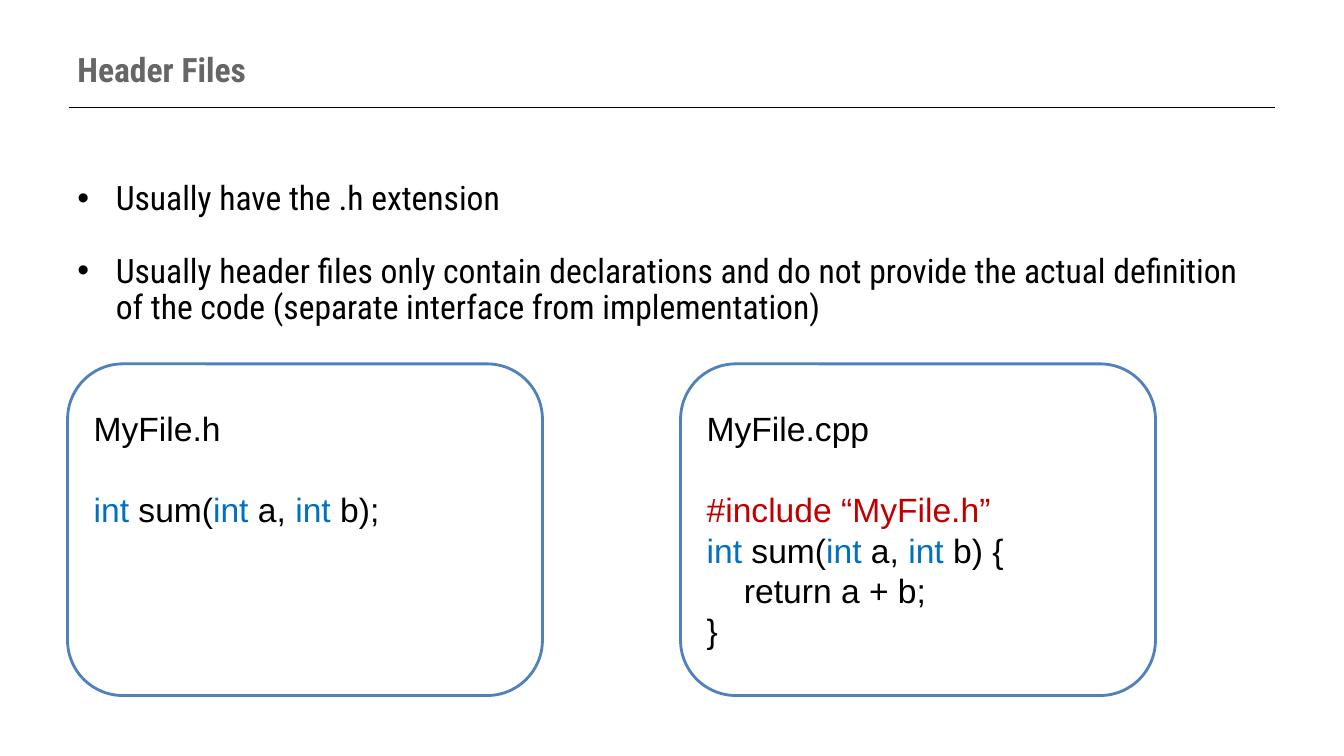
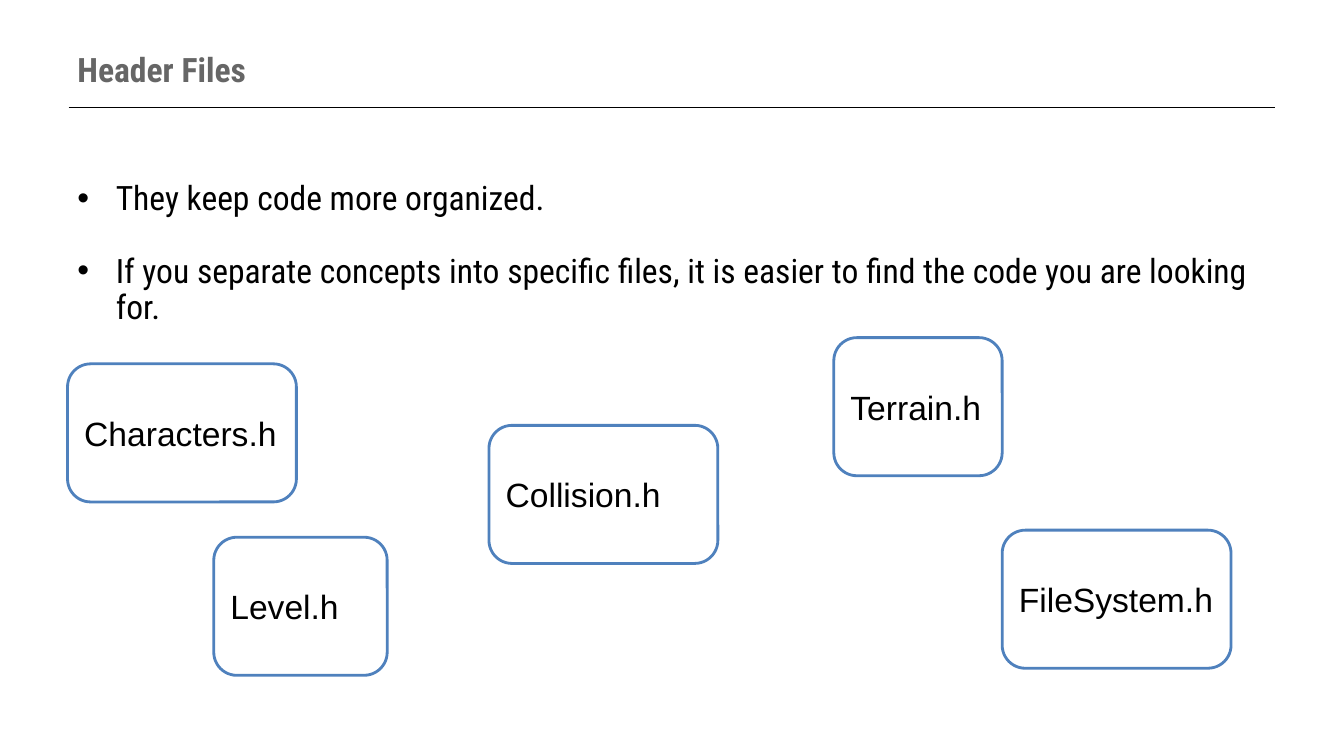
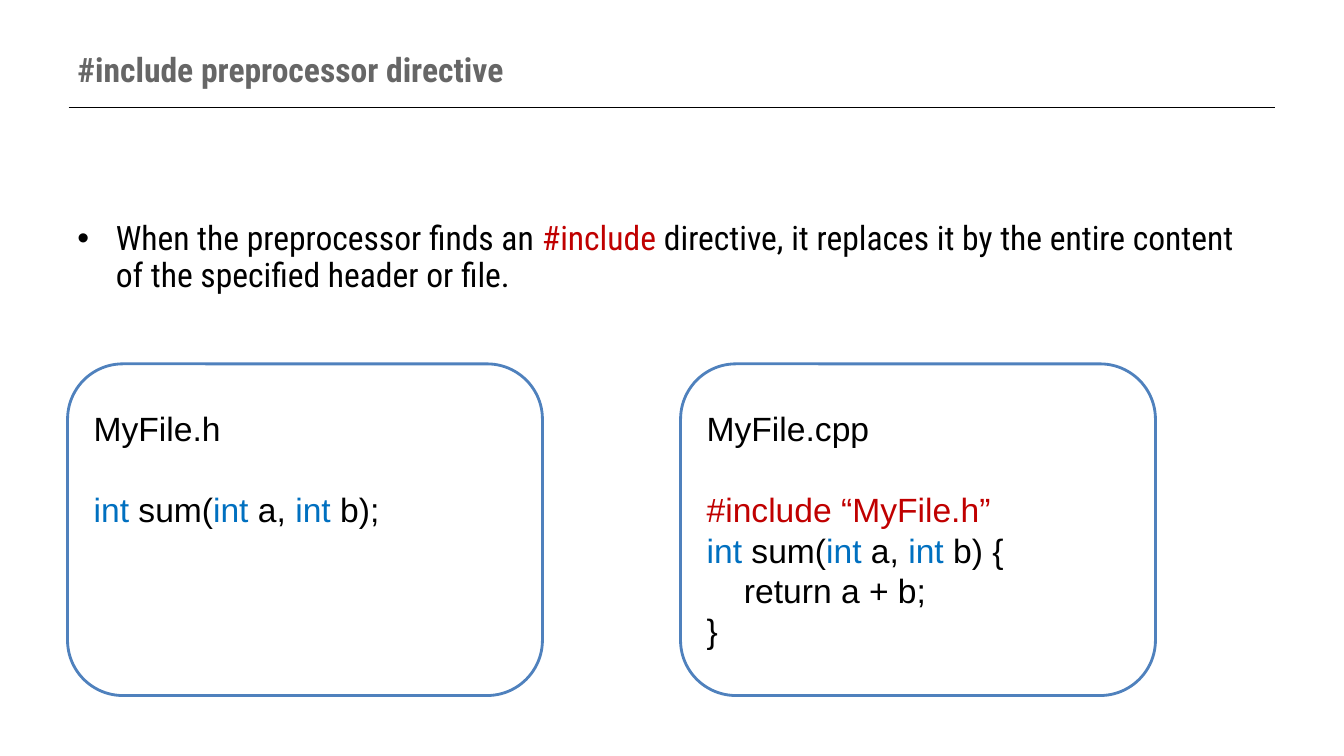
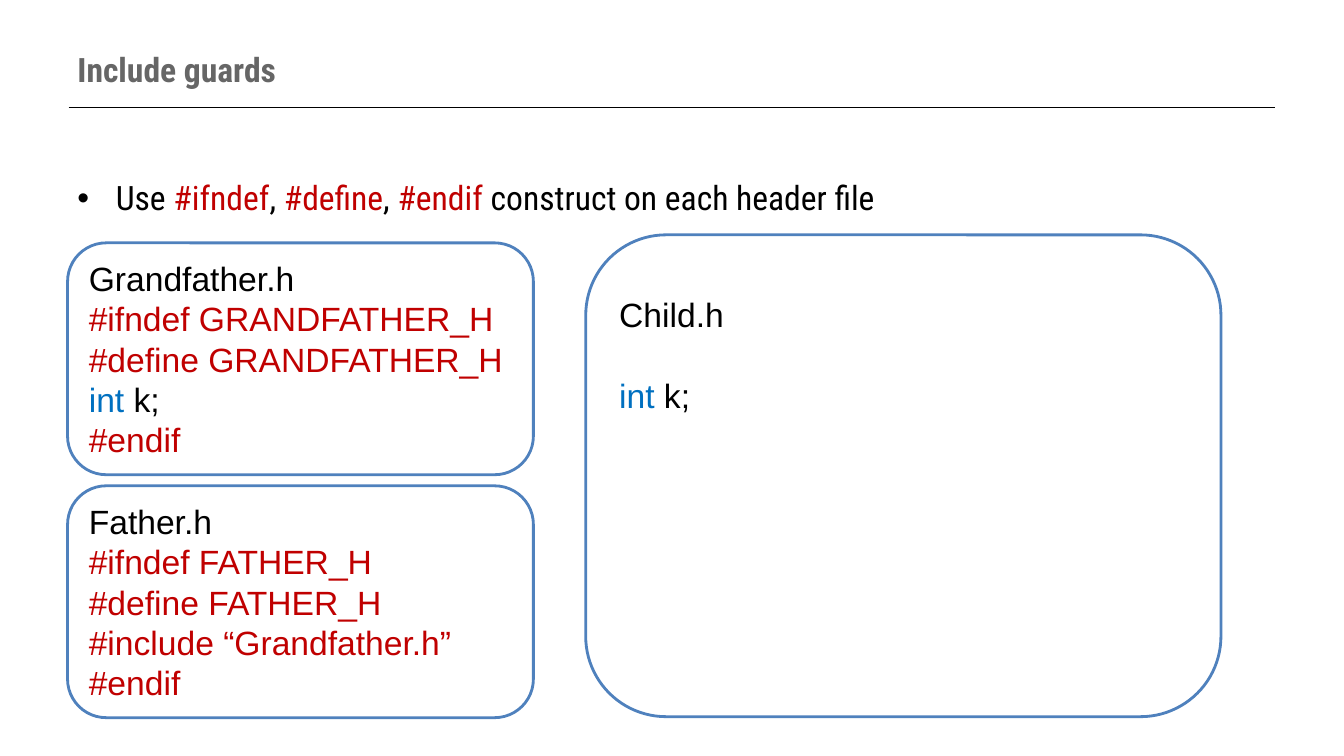
from dataclasses import dataclass

from lxml import etree
from pptx import Presentation
from pptx.dml.color import RGBColor
from pptx.enum.shapes import MSO_CONNECTOR, MSO_SHAPE
from pptx.enum.text import MSO_ANCHOR
from pptx.oxml.ns import qn
from pptx.util import Inches, Pt

STRAIGHT = MSO_CONNECTOR.STRAIGHT
ROUND = MSO_SHAPE.ROUNDED_RECTANGLE
TOP, MIDDLE = MSO_ANCHOR.TOP, MSO_ANCHOR.MIDDLE


@dataclass(frozen=True)
class Theme:
    white: str = "FFFFFF"
    black: str = "000000"
    gray: str = "666666"
    red: str = "C00000"
    blue: str = "0070C0"
    edge: str = "4F81BD"
    head: str = "Roboto Condensed"
    code: str = "Arial"
    size: int = 24
    rule: float = 0.75
    frame: float = 2
    item_gap: int = 26
    code_gap: int = 29


theme = Theme()
RED, BLUE = theme.red, theme.blue


def write(shape, lines, font=theme.code, color=theme.black, bold=False,
          anchor=TOP, inset=0.05, gap=0, gaps=(), bullet=False):
    """Fill a shape with lines, each a string or a list of strings and (string, colour) pairs.

    The gap in points goes above the lines whose numbers are in gaps.
    """
    frame = shape.text_frame
    frame.word_wrap = True
    frame.vertical_anchor = anchor
    frame.margin_left = frame.margin_right = Inches(0.1)
    frame.margin_top, frame.margin_bottom = Inches(inset), Inches(0.05)
    for row, line in enumerate(lines):
        para = frame.paragraphs[0] if row == 0 else frame.add_paragraph()
        para.alignment = None
        if row in gaps:
            para.space_before = Pt(gap)
        props = para._p.get_or_add_pPr()
        props.set("algn", "l")
        if bullet:
            para.line_spacing = 0.9
            props.set("marL", str(Inches(0.38)))
            props.set("indent", str(-Inches(0.38)))
            tint = etree.SubElement(props, qn("a:buClr"))
            etree.SubElement(tint, qn("a:srgbClr"), val=theme.black)
            etree.SubElement(props, qn("a:buFont"), typeface="Arial")
            etree.SubElement(props, qn("a:buChar"), char="•")
        elif line == RETURN:
            props.set("marL", str(Inches(0.37)))
        for part in [line] if isinstance(line, str) else line:
            text, tone = (part, color) if isinstance(part, str) else part
            run = para.add_run()
            run.text = text
            run.font.name, run.font.size, run.font.bold = font, Pt(theme.size), bold
            run.font.color.rgb = RGBColor.from_string(tone)


RETURN = "return a + b;"
INT = ("int ", BLUE)
SUM = [INT, "sum(", ("int", BLUE), " a, ", INT]
VALUE = [INT, "k;"]

# Code boxes: left, top, width, height, lines, text format
spaced = {"gap": theme.code_gap, "gaps": (1,)}
pair_form = {"inset": 0.28, **spaced}
pair = [
    (0.67, 3.61, 4.71, 3.29, ["MyFile.h", SUM + ["b);"]], pair_form),
    (6.75, 3.61, 4.71, 3.29,
     ["MyFile.cpp", [("#include “MyFile.h”", RED)], SUM + ["b) {"], RETURN, "}"],
     pair_form),
]
center = {"anchor": MIDDLE}
files = [
    (left, top, width, 1.37, [name], center)
    for left, top, width, name in [
        (0.67, 3.61, 2.27, "Characters.h"),
        (2.12, 5.33, 1.72, "Level.h"),
        (4.85, 4.22, 2.27, "Collision.h"),
        (8.27, 3.35, 1.67, "Terrain.h"),
        (9.94, 5.26, 2.27, "FileSystem.h"),
    ]
]
guards = [
    (0.67, top, 4.62, 2.3,
     [name + ".h", [("#ifndef " + name.upper() + "_H", RED)],
      [("#define " + name.upper() + "_H", RED)], body, [("#endif", RED)]], center)
    for top, name, body in [
        (2.41, "Grandfather", VALUE),
        (4.82, "Father", [("#include “Grandfather.h”", RED)]),
    ]
]
child = (5.81, 2.33, 6.3, 4.78, ["Child.h", VALUE], {"inset": 0.35, **spaced})

# Slides: title, top of the list, list items, code boxes
pages = [
    ("Header Files", 1.75,
     ["Usually have the .h extension",
      "Usually header files only contain declarations and do not provide the actual "
      "definition of the code (separate interface from implementation)"], pair),
    ("Header Files", 1.75,
     ["They keep code more organized.",
      "If you separate concepts into specific files, it is easier to find the code "
      "you are looking for."], files),
    ("#include preprocessor directive", 2.15,
     [["When the preprocessor finds an ", ("#include ", RED),
       "directive, it replaces it by the entire content of the specified header or file."]],
     pair),
    ("Include guards", 1.75,
     [["Use ", ("#ifndef", RED), ", ", ("#define", RED), ", ", ("#endif ", RED),
       "construct on each header file"]], guards + [child]),
]

deck = Presentation()
deck.slide_width, deck.slide_height = Inches(13.33), Inches(7.5)
blank = deck.slide_layouts[6]

for title, start, items, boxes in pages:
    slide = deck.slides.add_slide(blank)
    shapes = slide.shapes

    rule = shapes.add_connector(
        STRAIGHT, Inches(0.68), Inches(1.07), Inches(12.65), Inches(1.07))
    rule.line.color.rgb = RGBColor.from_string(theme.black)
    rule.line.width = Pt(theme.rule)
    etree.SubElement(rule._element.spPr, qn("a:effectLst"))

    body = shapes.add_textbox(Inches(0.67), Inches(start), Inches(12), Inches(6.7 - start))
    write(body, items, font=theme.head, bullet=True, gap=theme.item_gap, gaps=(1,))

    head = shapes.add_textbox(Inches(0.67), Inches(0.3), Inches(12), Inches(0.77))
    write(head, [title], font=theme.head, color=theme.gray, bold=True, anchor=MIDDLE)

    for left, top, width, height, lines, form in boxes:
        box = shapes.add_shape(ROUND, Inches(left), Inches(top), Inches(width), Inches(height))
        box.shadow.inherit = False
        box.fill.solid()
        box.fill.fore_color.rgb = RGBColor.from_string(theme.white)
        box.line.color.rgb = RGBColor.from_string(theme.edge)
        box.line.width = Pt(theme.frame)
        write(box, lines, **form)

deck.save("out.pptx")
